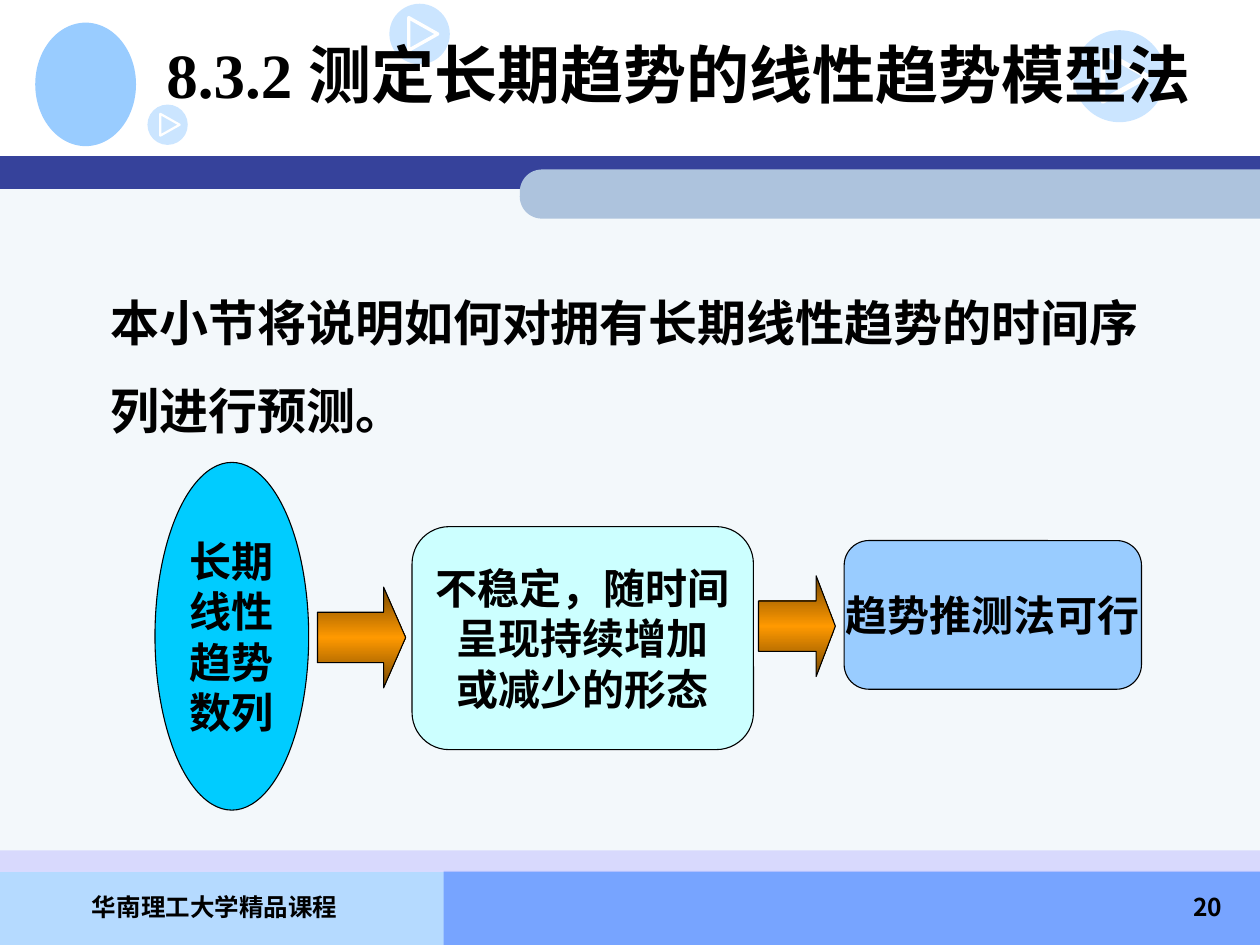
from copy import deepcopy

from lxml import etree
from pptx import Presentation
from pptx.dml.color import RGBColor
from pptx.enum.shapes import MSO_SHAPE
from pptx.enum.text import MSO_ANCHOR, PP_ALIGN
from pptx.oxml.ns import qn
from pptx.util import Inches, Pt

RECT, ROUND, OVAL = MSO_SHAPE.RECTANGLE, MSO_SHAPE.ROUNDED_RECTANGLE, MSO_SHAPE.OVAL
TAB, ARROW = MSO_SHAPE.ROUND_2_SAME_RECTANGLE, MSO_SHAPE.RIGHT_ARROW
LEFT, CENTER, RIGHT = PP_ALIGN.LEFT, PP_ALIGN.CENTER, PP_ALIGN.RIGHT
TOP, MIDDLE = MSO_ANCHOR.TOP, MSO_ANCHOR.MIDDLE

BLACK = RGBColor(0x00, 0x00, 0x00)
WHITE = RGBColor(0xFF, 0xFF, 0xFF)
SKY = RGBColor(0x99, 0xCC, 0xFF)
CYAN = RGBColor(0x00, 0xCC, 0xFF)
MINT = RGBColor(0xCC, 0xFF, 0xFF)
NAVY = RGBColor(0x36, 0x42, 0x9B)
STEEL = RGBColor(0xAD, 0xC3, 0xDD)
PALE = RGBColor(0xF3, 0xF8, 0xFB)
LILAC = RGBColor(0xCC, 0xCC, 0xFF)
FOOT_LEFT = RGBColor(0xB5, 0xDA, 0xFF)
FOOT_RIGHT = RGBColor(0x77, 0xA4, 0xFF)
ORANGE = RGBColor(0xFF, 0x99, 0x00)
BROWN = RGBColor(0x76, 0x47, 0x00)

SANS, SANS_KR, SERIF = "Noto Sans CJK SC", "Noto Sans CJK KR", "Times New Roman"


def add_block(slide, kind, box, color, alpha=None, outlined=False):
    """Add a filled preset shape, optionally translucent or outlined."""
    sp = slide.shapes.add_shape(kind, *map(Inches, box))
    sp.shadow.inherit = False
    sp.fill.solid()
    sp.fill.fore_color.rgb = color
    if alpha:
        clr = sp._element.spPr.find(".//" + qn("a:srgbClr"))
        etree.SubElement(clr, qn("a:alpha"), val=str(alpha * 1000))
    if outlined:
        sp.line.color.rgb = BLACK
        sp.line.width = Pt(0.62)
    else:
        sp.line.fill.background()
    return sp


def write(sp, lines, size, align=CENTER, anchor=MIDDLE, latin=SANS, asian=SANS, wrap=True):
    """Fill a shape with bold black paragraphs."""
    tf = sp.text_frame
    tf.word_wrap = wrap
    tf.vertical_anchor = anchor
    tf.text = "\n".join(lines)
    for p in tf.paragraphs:
        p.alignment = align
        p.font.size = Pt(size)
        p.font.bold = True
        p.font.color.rgb = BLACK
        p.font.name = latin
        etree.SubElement(p._p.pPr.find(qn("a:defRPr")), qn("a:ea"), typeface=asian)
    return tf


def add_text(slide, box, text, size, **style):
    """Add a text box holding one paragraph."""
    return write(slide.shapes.add_textbox(*map(Inches, box)), [text], size, **style)


def add_play_disc(slide, left, top, size):
    """Add a translucent disc with a white triangle outline."""
    add_block(slide, OVAL, (left, top, size, size), SKY, alpha=50)
    corners = [(Inches(left + x * size), Inches(top + y * size))
               for x, y in ((0.32, 0.23), (0.8, 0.5), (0.32, 0.77))]
    builder = slide.shapes.build_freeform(*corners[0])
    builder.add_line_segments(corners[1:], close=True)
    sp = builder.convert_to_shape()
    sp.shadow.inherit = False
    sp.fill.background()
    sp.line.color.rgb = WHITE
    sp.line.width = Pt(4 * size)


def add_flow_arrow(slide, box):
    """Add a block arrow shaded from brown through orange to brown."""
    sp = add_block(slide, ARROW, box, ORANGE, outlined=True)
    sp.adjustments[0], sp.adjustments[1] = 0.5, 0.25
    sp.fill.gradient()
    sp.fill.gradient_angle = 90
    first, last = sp.fill.gradient_stops
    first.color.rgb = last.color.rgb = BROWN
    stops = sp._element.spPr.find(".//" + qn("a:gsLst"))
    middle = deepcopy(stops[0])
    middle.set("pos", "50000")
    middle.find(qn("a:srgbClr")).set("val", str(ORANGE))
    stops.insert(1, middle)


def add_flow_box(slide, kind, box, color, lines):
    """Add an outlined step of the flow with centred lines."""
    write(add_block(slide, kind, box, color, outlined=True), lines, 24, wrap=False)


def add_backdrop(slide):
    """Add the bands, the emblem and the discs behind the content."""
    add_block(slide, RECT, (0, 6.92, 4.25, 0.58), FOOT_LEFT)
    add_block(slide, RECT, (3.52, 6.91, 6.48, 0.59), FOOT_RIGHT)
    add_block(slide, RECT, (0, 1.4, 10, 5.51), PALE)
    add_block(slide, RECT, (0, 1.24, 10, 0.26), NAVY)
    tab = add_block(slide, TAB, (6.87, -1.4, 0.39, 5.88), STEEL)
    tab.rotation = 270
    tab.adjustments[0] = 0.45
    add_block(slide, OVAL, (0.28, 0.18, 0.8, 0.98), SKY)
    for disc in ((3.09, 0.03, 0.48), (8.52, 0.24, 0.73), (1.17, 0.83, 0.32)):
        add_play_disc(slide, *disc)
    add_block(slide, RECT, (0, 6.75, 10, 0.17), LILAC, alpha=69)


def add_title(slide, text):
    """Place the title in front of the backdrop."""
    title = slide.shapes.title
    title.left, title.top, title.width, title.height = map(Inches, (1.22, 0, 8.5, 1.17))
    write(title, [text], 36, align=LEFT, latin=SERIF)
    slide.shapes._spTree.append(title._element)


def main():
    """Build the slide and save it."""
    prs = Presentation()
    prs.slide_width, prs.slide_height = Inches(10), Inches(7.5)
    slide = prs.slides.add_slide(prs.slide_layouts[5])
    add_backdrop(slide)
    add_text(slide, (0.12, 7.03, 3.17, 0.5), "华南理工大学精品课程", 14,
             anchor=TOP, latin=SANS_KR, asian=SANS_KR)
    add_text(slide, (7.72, 7.03, 2.08, 0.5), "20", 14, align=RIGHT, anchor=TOP)
    tf = add_text(slide, (0.78, 2.04, 8.36, 1.5),
                  "本小节将说明如何对拥有长期线性趋势的时间序列进行预测。", 28, align=LEFT)
    tf.paragraphs[0].line_spacing = 1.5
    add_flow_box(slide, ROUND, (3.27, 4.18, 2.71, 1.77), MINT,
                 ["不稳定，随时间", "呈现持续增加", "或减少的形态"])
    add_flow_box(slide, OVAL, (1.23, 3.67, 1.22, 2.76), CYAN,
                 ["长期", "线性", "趋势", "数列"])
    add_flow_arrow(slide, (2.52, 4.66, 0.7, 0.8))
    add_flow_arrow(slide, (6.02, 4.57, 0.61, 0.8))
    add_flow_box(slide, ROUND, (6.7, 4.29, 2.36, 1.18), SKY, ["趋势推测法可行"])
    add_title(slide, "8.3.2 测定长期趋势的线性趋势模型法")
    prs.save("out.pptx")


if __name__ == "__main__":
    main()
